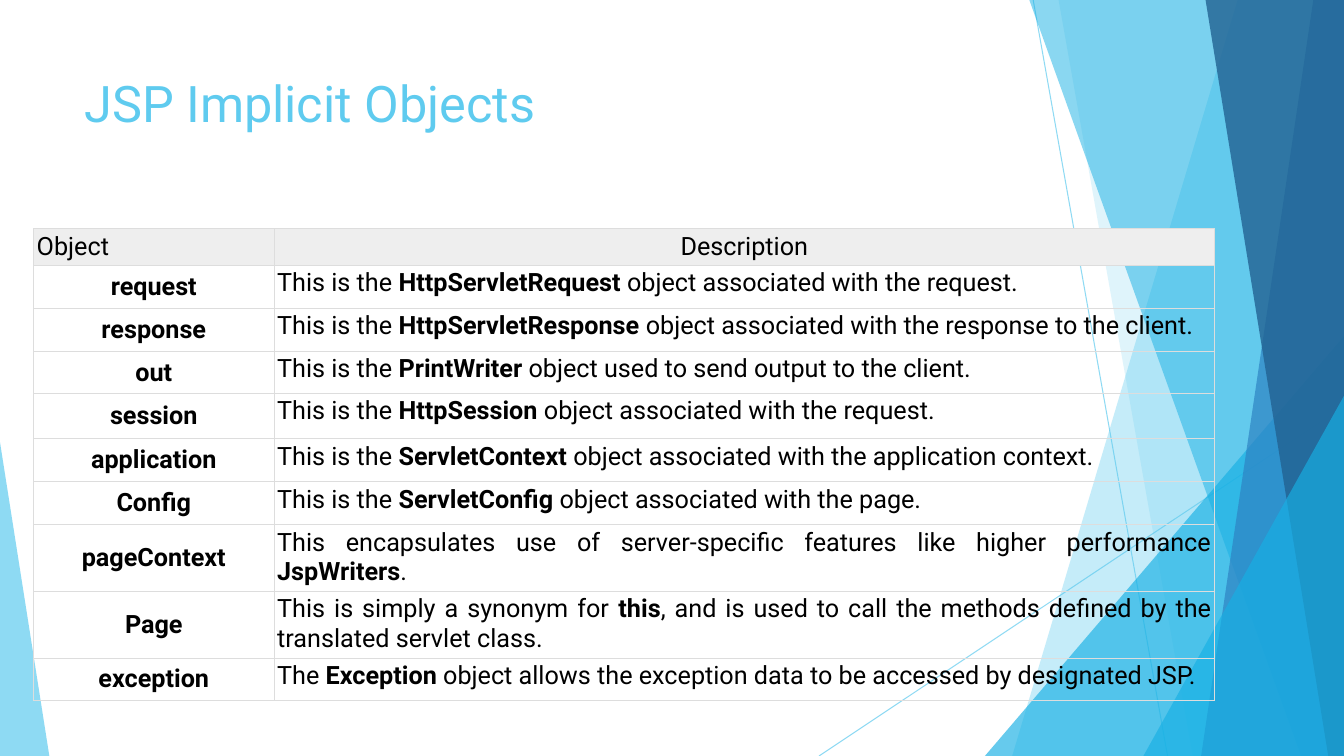
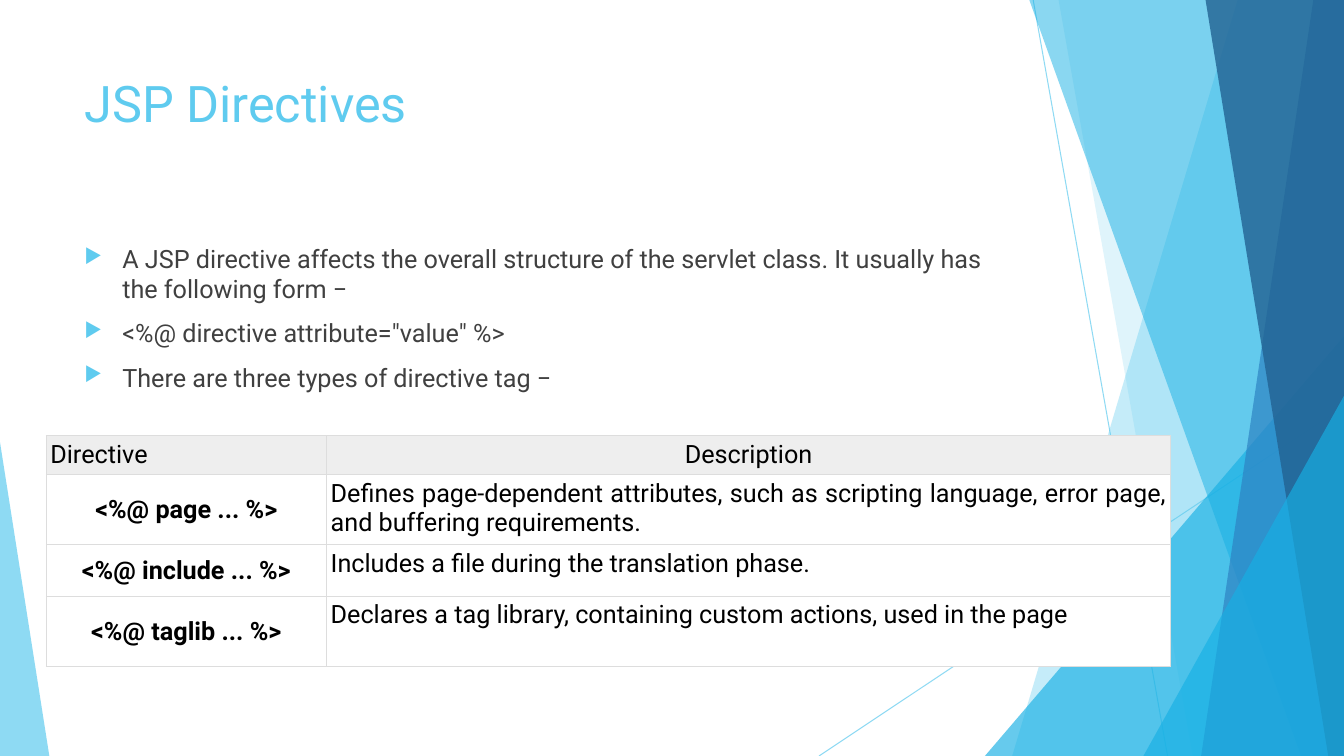
from pptx import Presentation
from pptx.dml.color import RGBColor
from pptx.enum.shapes import MSO_CONNECTOR, MSO_SHAPE
from pptx.enum.text import MSO_ANCHOR, PP_ALIGN
from pptx.oxml.ns import qn
from pptx.util import Pt
from lxml import etree

PX = 9525
WIDTH, HEIGHT = 1280, 720
FONT = "Roboto"
LEFT, CENTER, JUSTIFY = PP_ALIGN.LEFT, PP_ALIGN.CENTER, PP_ALIGN.JUSTIFY
TOP, MIDDLE = MSO_ANCHOR.TOP, MSO_ANCHOR.MIDDLE
STRAIGHT = MSO_CONNECTOR.STRAIGHT
TRIANGLE = MSO_SHAPE.ISOSCELES_TRIANGLE

COLORS = {
    "sky": "5FCBEF",
    "cyan": "17B0E4",
    "blue": "2E83C3",
    "navy": "226292",
    "body": "404040",
    "black": "000000",
    "white": "FFFFFF",
    "header": "EEEEEE",
    "border": "DDDDDD",
}

OBJECT_ROWS = [
    ("Object", "Description"),
    ("request", "This is the **HttpServletRequest** object associated with the request."),
    ("response", "This is the **HttpServletResponse** object associated with the response to the client."),
    ("out", "This is the **PrintWriter** object used to send output to the client."),
    ("session", "This is the **HttpSession** object associated with the request."),
    ("application", "This is the **ServletContext** object associated with the application context."),
    ("Config", "This is the **ServletConfig** object associated with the page."),
    ("pageContext", "This encapsulates use of server-specific features like higher performance **JspWriters**."),
    ("Page", "This is simply a synonym for **this**, and is used to call the methods defined by the translated servlet class."),
    ("exception", "The **Exception** object allows the exception data to be accessed by designated JSP."),
]
OBJECT_HEIGHTS = [34, 41, 41, 40, 43, 41, 41, 63, 63, 40]

DIRECTIVE_POINTS = [
    "A JSP directive affects the overall structure of the servlet class. It usually has the following form −",
    '<%@ directive attribute="value" %>',
    "There are three types of directive tag −",
]
DIRECTIVE_ROWS = [
    ("Directive", "Description"),
    ("<%@ page ... %>", "Defines page-dependent attributes, such as scripting language, error page, and buffering requirements."),
    ("<%@ include ... %>", "Includes a file during the translation phase."),
    ("<%@ taglib ... %>", "Declares a tag library, containing custom actions, used in the page"),
]
DIRECTIVE_HEIGHTS = [37, 67, 49, 67]


def rgb(name):
    return RGBColor.from_string(COLORS[name])


def px(*values):
    return [v * PX for v in values]


def add_node(parent, tag, **attrs):
    return etree.SubElement(parent, qn(tag), attrs)


def set_opacity(sp, percent):
    for clr in sp._element.spPr.iter(qn("a:srgbClr")):
        add_node(clr, "a:alpha", val=str(percent * 1000))


def add_bullet(p):
    pPr = p._p.get_or_add_pPr()
    pPr.set("marL", str(36 * PX))
    pPr.set("indent", str(-36 * PX))
    add_node(add_node(pPr, "a:buClr"), "a:srgbClr", val=COLORS["sky"])
    add_node(pPr, "a:buSzPct", val="80000")
    add_node(pPr, "a:buChar", char="▶")


def write(p, text, size=18, color="black", bold=False, align=LEFT, before=0, bullet=False):
    p.alignment = align
    p.space_before = Pt(before)
    if bullet:
        add_bullet(p)
    for i, part in enumerate(text.split("**")):
        r = p.add_run()
        r.text = part
        r.font.name = FONT
        r.font.size = Pt(size)
        r.font.bold = bold or i % 2 == 1
        r.font.color.rgb = rgb(color)


def add_textbox(slide, box, lines, **fmt):
    tf = slide.shapes.add_textbox(*px(*box)).text_frame
    tf.word_wrap = True
    for i, line in enumerate(lines):
        write(tf.add_paragraph() if i else tf.paragraphs[0], line, **fmt)


def paint(sp, color, opacity):
    sp.shadow.inherit = False
    sp.fill.solid()
    sp.fill.fore_color.rgb = rgb(color)
    sp.line.fill.background()
    set_opacity(sp, opacity)


def add_line(slide, ends):
    line = slide.shapes.add_connector(STRAIGHT, *px(*ends))
    line.line.color.rgb = rgb("sky")
    line.line.width = Pt(0.75)
    set_opacity(line, 70)
    add_node(line._element.spPr, "a:effectLst")


def add_band(slide, top_x, bottom_x, color, opacity):
    fb = slide.shapes.build_freeform(top_x, -1, scale=PX)
    fb.add_line_segments([(WIDTH, -1), (WIDTH, HEIGHT), (bottom_x, HEIGHT)])
    paint(fb.convert_to_shape(), color, opacity)


def add_triangle(slide, box, apex, color, opacity):
    sp = slide.shapes.add_shape(TRIANGLE, *px(*box))
    sp.adjustments[0] = apex
    paint(sp, color, opacity)


def add_backdrop(slide):
    add_line(slide, (984, 0, 1112, HEIGHT))
    add_line(slide, (WIDTH, 387, 780, HEIGHT))
    add_band(slide, 1179, 964, "sky", 36)
    add_band(slide, 1008, 1136, "sky", 20)
    add_triangle(slide, (938, 320, 342, 400), 1, "cyan", 66)
    add_band(slide, 980, 1239, "cyan", 50)
    add_band(slide, 1251, 1144, "blue", 70)
    add_band(slide, 1148, 1265, "navy", 80)
    add_triangle(slide, (1089, 377, 191, 343), 1, "cyan", 66)
    add_triangle(slide, (0, 421, 47, 299), 0, "sky", 70)


def add_borders(cell):
    tcPr = cell._tc.get_or_add_tcPr()
    for i, side in enumerate(("a:lnL", "a:lnR", "a:lnT", "a:lnB")):
        ln = add_node(tcPr, side, w=str(Pt(0.75)))
        add_node(add_node(ln, "a:solidFill"), "a:srgbClr", val=COLORS["border"])
        tcPr.insert(i, ln)


def format_cell(cell, text, is_header, is_name, fill, margin):
    cell.margin_left = cell.margin_right = margin * PX
    cell.margin_top = cell.margin_bottom = margin * PX
    cell.vertical_anchor = MIDDLE if is_name and not is_header else TOP
    if fill:
        cell.fill.solid()
        cell.fill.fore_color.rgb = rgb(fill)
    else:
        cell.fill.background()
    add_borders(cell)
    if is_header:
        align = LEFT if is_name else CENTER
    else:
        align = CENTER if is_name else JUSTIFY
    write(cell.text_frame.paragraphs[0], text, align=align, bold=is_name and not is_header)


def add_grid(slide, left, top, widths, heights, rows, margin, fill=None):
    box = px(left, top, sum(widths), sum(heights))
    table = slide.shapes.add_table(len(rows), len(widths), *box).table
    table.first_row = table.horz_banding = False
    for column, width in zip(table.columns, widths):
        column.width = width * PX
    for i, (height, row) in enumerate(zip(heights, rows)):
        table.rows[i].height = height * PX
        for j, text in enumerate(row):
            format_cell(table.cell(i, j), text, i == 0, j == 0, fill if i else "header", margin)


def add_slide(prs, title):
    slide = prs.slides.add_slide(prs.slide_layouts[6])
    add_backdrop(slide)
    add_textbox(slide, (71, 64, 902, 138), [title], size=36, color="sky")
    return slide


def main():
    prs = Presentation()
    prs.slide_width, prs.slide_height = px(WIDTH, HEIGHT)

    slide = add_slide(prs, "JSP Implicit Objects")
    add_grid(slide, 32, 218, (229, 896), OBJECT_HEIGHTS, OBJECT_ROWS, 3)

    slide = add_slide(prs, "JSP Directives")
    add_textbox(slide, (71, 227, 902, 407), DIRECTIVE_POINTS, color="body", before=10, bullet=True)
    add_grid(slide, 44, 415, (267, 804), DIRECTIVE_HEIGHTS, DIRECTIVE_ROWS, 4, "white")

    prs.save("out.pptx")


if __name__ == "__main__":
    main()
